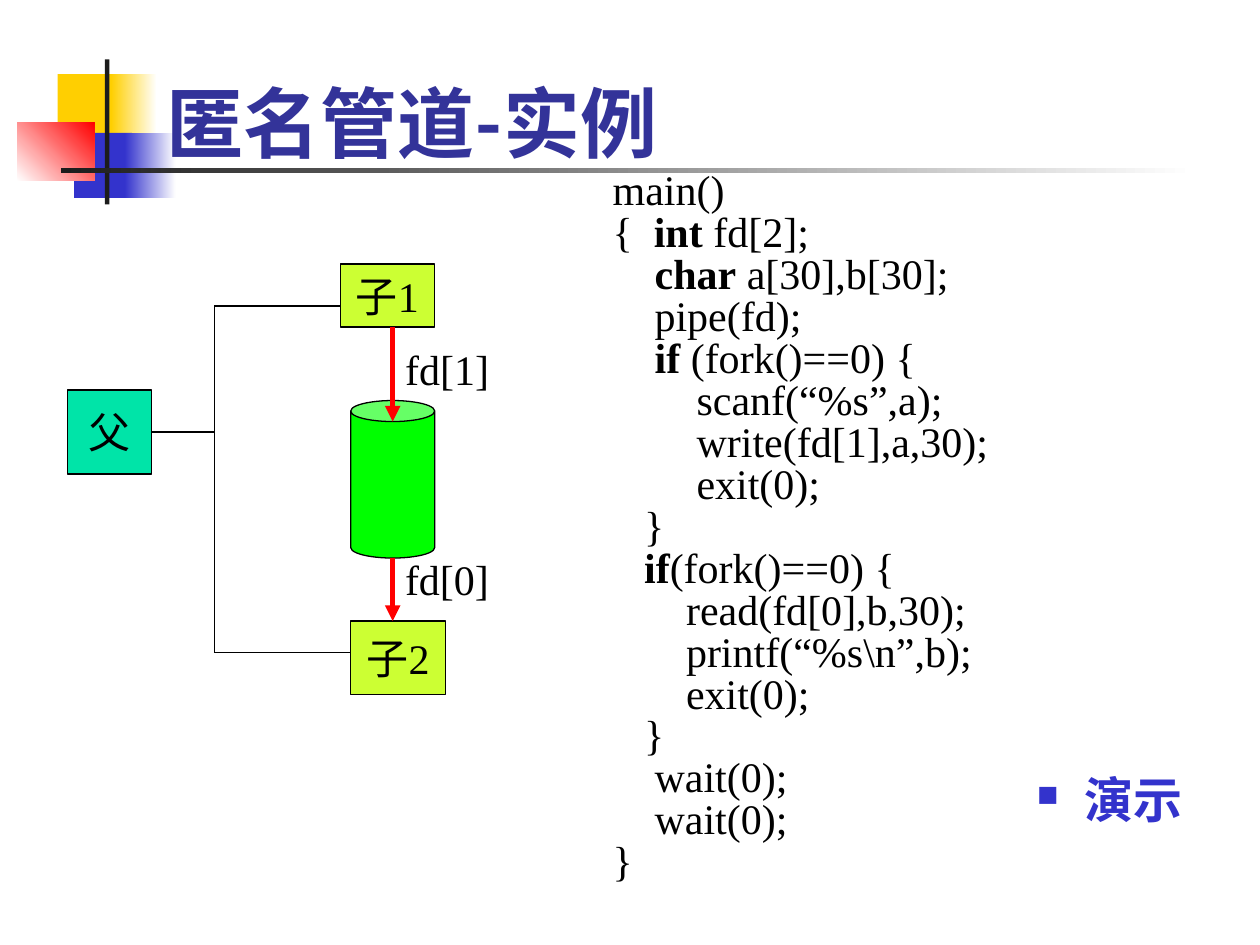
from lxml.etree import SubElement
from pptx import Presentation
from pptx.dml.color import RGBColor
from pptx.enum.shapes import MSO_CONNECTOR, MSO_SHAPE as Geo
from pptx.enum.text import MSO_ANCHOR as Anchor, PP_ALIGN as Align
from pptx.oxml.ns import qn
from pptx.util import Pt

BLACK = RGBColor(0, 0, 0)
WHITE = RGBColor(0xFF, 0xFF, 0xFF)
INK = RGBColor(0x1C, 0x1C, 0x1C)
GOLD = RGBColor(0xFF, 0xCF, 0x01)
BLUE = RGBColor(0x33, 0x33, 0xCC)
NAVY = RGBColor(0x33, 0x33, 0x99)
RED = RGBColor(0xFF, 0, 0)
TEAL = RGBColor(0, 0xE4, 0xA8)
LIME = RGBColor(0xCC, 0xFF, 0x33)
GREEN = RGBColor(0, 0xFF, 0)
SERIF = "Times New Roman"
SANS = "Lato"

CODE = """main()
{  *int* fd[2];
    *char* a[30],b[30];
    pipe(fd);
    *if* (fork()==0) {
        scanf(“%s”,a);
        write(fd[1],a,30);
        exit(0);
   }
   *if*(fork()==0) {
       read(fd[0],b,30);
       printf(“%s\\n”,b);
       exit(0);
   }
    wait(0);
    wait(0);
}"""


def style(para, size, name=SERIF, color=BLACK, bold=False):
    font = para.font
    font.size, font.name, font.bold = Pt(size), name, bold
    font.color.rgb = color


def add_text(shapes, box, wrap=True):
    frame = shapes.add_textbox(*map(Pt, box)).text_frame
    frame.word_wrap = wrap
    return frame


def hang(para, size):
    props = para._p.get_or_add_pPr()
    props.set("marL", str(Pt(size)))
    props.set("indent", str(-Pt(size)))
    return props


def add_form(shapes, geo, box, color, edge=False):
    form = shapes.add_shape(geo, *map(Pt, box))
    form.shadow.inherit = False
    form.fill.solid()
    form.fill.fore_color.rgb = color
    if edge:
        form.line.color.rgb = BLACK
        form.line.width = Pt(0.75)
    else:
        form.line.fill.background()
    return form


def add_fade(shapes, box, start, end, angle=0):
    fill = add_form(shapes, Geo.RECTANGLE, box, start).fill
    fill.gradient()
    fill.gradient_angle = angle
    for stop, color in zip(fill.gradient_stops, (start, end)):
        stop.color.rgb = color


def add_line(shapes, start, end, color=BLACK, width=0.75, arrow=False):
    line = shapes.add_connector(MSO_CONNECTOR.STRAIGHT, *map(Pt, start + end))
    line.line.color.rgb = color
    line.line.width = Pt(width)
    if arrow:
        SubElement(line.line._get_or_add_ln(), qn("a:tailEnd"), type="triangle")
    SubElement(line._element.spPr, qn("a:effectLst"))


def add_motif(shapes, x, y):
    for dx, dy, wide, fade, color in ((23, 8.4, 34.6, 26, GOLD), (32.4, 42, 33, 29, BLUE)):
        add_form(shapes, Geo.RECTANGLE, (x + dx, y + dy, wide, 37.2), color)
        add_fade(shapes, (x + dx + wide - 4, y + dy, fade, 37.2), color, WHITE)
    add_fade(shapes, (x, y + 36, 44, 33.4), WHITE, RED, 45)
    add_form(shapes, Geo.RECTANGLE, (x + 50, y, 2.5, 82.8), INK)
    add_fade(shapes, (x + 25, y + 62.2, 648, 2.7), INK, WHITE)


def add_title(shapes, box):
    frame = add_text(shapes, box)
    frame.vertical_anchor = Anchor.BOTTOM
    para = frame.paragraphs[0]
    para.text = "匿名管道-实例"
    style(para, 44, SANS, NAVY, True)


def add_code(shapes, box):
    frame = add_text(shapes, box)
    for i, row in enumerate(CODE.splitlines()):
        para = frame.add_paragraph() if i else frame.paragraphs[0]
        hang(para, 27)
        para.line_spacing = 0.6
        para.space_before = Pt(6.7 if i else 0)
        style(para, 24)
        for j, part in enumerate(row.split("*")):
            if part:
                run = para.add_run()
                run.text = part
                if j % 2:
                    run.font.bold = True


def add_node(shapes, box, text, color):
    frame = add_form(shapes, Geo.RECTANGLE, box, color, True).text_frame
    frame.word_wrap = False
    frame.vertical_anchor = Anchor.MIDDLE
    para = frame.paragraphs[0]
    para.text = text
    para.alignment = Align.CENTER
    style(para, 24)


def add_pipe(shapes, x, y):
    group = shapes.add_group_shape().shapes
    add_node(group, (x, y + 72, 48, 48), "父", TEAL)
    for x1, y1, x2, y2 in ((48, 96, 84, 96), (84, 24, 84, 222),
                           (84, 24, 162, 24), (84, 222, 162, 222)):
        add_line(group, (x + x1, y + y1), (x + x2, y + y2))
    add_node(group, (x + 156, y, 54, 36), "子1", LIME)
    add_node(group, (x + 162, y + 204, 54, 42), "子2", LIME)
    add_form(group, Geo.CAN, (x + 162, y + 78, 48, 90), GREEN, True)
    mid = x + 186
    for text, top, end, at, wide in (("fd[1]", 36, 90, 42, 90), ("fd[0]", 168, 204, 162, 66)):
        add_line(group, (mid, y + top), (mid, y + end), RED, 3, True)
        para = add_text(group, (mid, y + at, wide, 36)).paragraphs[0]
        para.text = text
        style(para, 24)


def add_demo(shapes, box):
    para = add_text(shapes, box, False).paragraphs[0]
    para.text = "演示"
    props = hang(para, 27)
    tint = SubElement(props, qn("a:buClr"))
    SubElement(tint, qn("a:srgbClr"), val=str(BLUE))
    SubElement(props, qn("a:buSzPct"), val="60000")
    SubElement(props, qn("a:buChar"), char="■")
    style(para, 28, SANS, BLUE, True)


def main():
    deck = Presentation()
    deck.slide_width, deck.slide_height = Pt(720), Pt(540)
    shapes = deck.slides.add_slide(deck.slide_layouts[6]).shapes
    add_motif(shapes, 10, 34)
    add_title(shapes, (88, 9.4, 613.4, 90))
    add_code(shapes, (343, 100, 278, 434))
    add_pipe(shapes, 38.4, 150.9)
    add_demo(shapes, (585.4, 436.3, 97.2, 41))
    deck.save("out.pptx")


if __name__ == "__main__":
    main()
